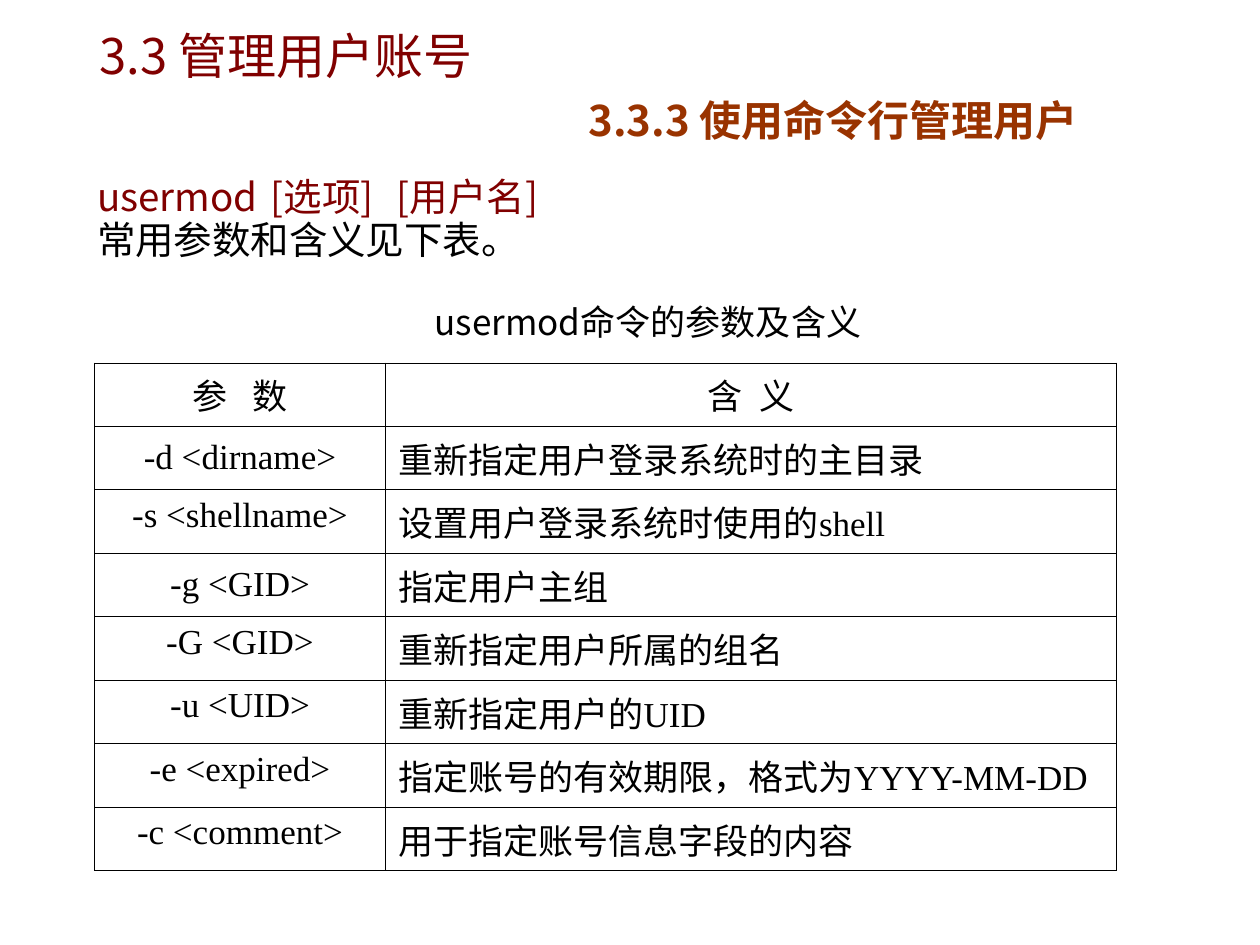
from lxml.etree import SubElement
from pptx import Presentation
from pptx.dml.color import RGBColor
from pptx.enum.text import MSO_ANCHOR as Anchor, MSO_AUTO_SIZE as AutoSize, PP_ALIGN as Align
from pptx.oxml.ns import qn
from pptx.util import Inches, Pt

COLORS = {"title": "800000", "subtitle": "993300", "text": "000000"}
SANS = "Noto Sans CJK KR"
SERIF = "Times New Roman"


def add_run(paragraph, text, size, color="text", latin=SANS, bold=False):
    run = paragraph.add_run()
    run.text = text
    for name, value in {"size": Pt(size), "bold": bold, "name": latin}.items():
        setattr(run.font, name, value)
    run.font.color.rgb = RGBColor.from_string(COLORS[color])
    properties = run.font._element
    SubElement(properties, qn("a:ea"), typeface=SANS)
    return properties


def set_frame(shape, left, top, width, height, anchor):
    shape.left, shape.top = Inches(left), Inches(top)
    shape.width, shape.height = Inches(width), Inches(height)
    frame = shape.text_frame
    settings = {"word_wrap": True, "auto_size": AutoSize.NONE, "vertical_anchor": anchor}
    for name, value in settings.items():
        setattr(frame, name, value)
    return frame


presentation = Presentation()
presentation.slide_width, presentation.slide_height = Inches(10), Inches(7.5)
slide = presentation.slides.add_slide(presentation.slide_layouts[1])

title_frame = set_frame(slide.shapes.title, 0.69, 0.08, 8.5, 1.25, Anchor.MIDDLE)
title_frame.margin_bottom = Inches(0.11)
headings = [
    ("3.3 管理用户账号", 28, "title", False, 0, 0),
    ("3.3.3 使用命令行管理用户", 24, "subtitle", True, 3.88, 5.5),
]
for index, (text, size, color, bold, indent, space) in enumerate(headings):
    paragraph = title_frame.add_paragraph() if index else title_frame.paragraphs[0]
    paragraph.alignment = Align.LEFT
    paragraph.space_before = Pt(space)
    paragraph._p.get_or_add_pPr().set("marL", str(Inches(indent)))
    add_run(paragraph, text, size, color, bold=bold)

body_frame = set_frame(slide.placeholders[1], 0.67, 1.39, 8.56, 0.87, Anchor.TOP)
body_lines = [("usermod\t[选项]\t[用户名]", "title", 0), ("常用参数和含义见下表。", "text", 4)]
for index, (text, color, space) in enumerate(body_lines):
    paragraph = body_frame.add_paragraph() if index else body_frame.paragraphs[0]
    properties = paragraph._p.get_or_add_pPr()
    properties.set("marL", str(Inches(0.38)))
    properties.set("indent", str(Inches(-0.38)))
    SubElement(properties, qn("a:buNone"))
    tabs = SubElement(properties, qn("a:tabLst"))
    for position in (1.07, 2.18):
        SubElement(tabs, qn("a:tab"), pos=str(Inches(position)), algn="l")
    paragraph.line_spacing = 0.8
    paragraph.space_before = Pt(space)
    add_run(paragraph, text, 22, color)

rows = [
    ("参 数", "含 义"),
    ("-d <dirname>", "重新指定用户登录系统时的主目录"),
    ("-s <shellname>", "设置用户登录系统时使用的shell"),
    ("-g <GID>", "指定用户主组"),
    ("-G <GID>", "重新指定用户所属的组名"),
    ("-u <UID>", "重新指定用户的UID"),
    ("-e <expired>", "指定账号的有效期限，格式为YYYY-MM-DD"),
    ("-c <comment>", "用于指定账号信息字段的内容"),
]
header_spacing = ("500", "250")
middle_rows = (1, 3)
table = slide.shapes.add_table(
    len(rows), 2, Inches(0.75), Inches(2.88), Inches(8.11), Inches(3.47)
).table
table.first_row = table.horz_banding = False
for column, width in zip(table.columns, (2.31, 5.8)):
    column.width = Inches(width)

for row_index, texts in enumerate(rows):
    table.rows[row_index].height = Inches(0.43)
    for column_index, text in enumerate(texts):
        cell = table.cell(row_index, column_index)
        centered = row_index == 0 or column_index == 0
        middle = column_index == 0 and row_index in middle_rows
        cell.vertical_anchor = Anchor.MIDDLE if middle else Anchor.TOP
        paragraph = cell.text_frame.paragraphs[0]
        paragraph.alignment = Align.CENTER if centered else Align.LEFT
        run_properties = add_run(paragraph, text, 20, latin=SERIF)
        if row_index == 0:
            run_properties.set("spc", header_spacing[column_index])
        cell_properties = cell._tc.get_or_add_tcPr()
        for side in ("lnL", "lnR", "lnT", "lnB"):
            border = SubElement(cell_properties, qn(f"a:{side}"), w=str(Pt(0.45)))
            fill = SubElement(border, qn("a:solidFill"))
            SubElement(fill, qn("a:srgbClr"), val=COLORS["text"])
        cell.fill.background()

caption = slide.shapes.add_textbox(0, 0, 0, 0)
caption_frame = set_frame(caption, 3.35, 2.33, 3.78, 0.44, Anchor.MIDDLE)
add_run(caption_frame.paragraphs[0], "usermod命令的参数及含义", 20)

presentation.save("out.pptx")
